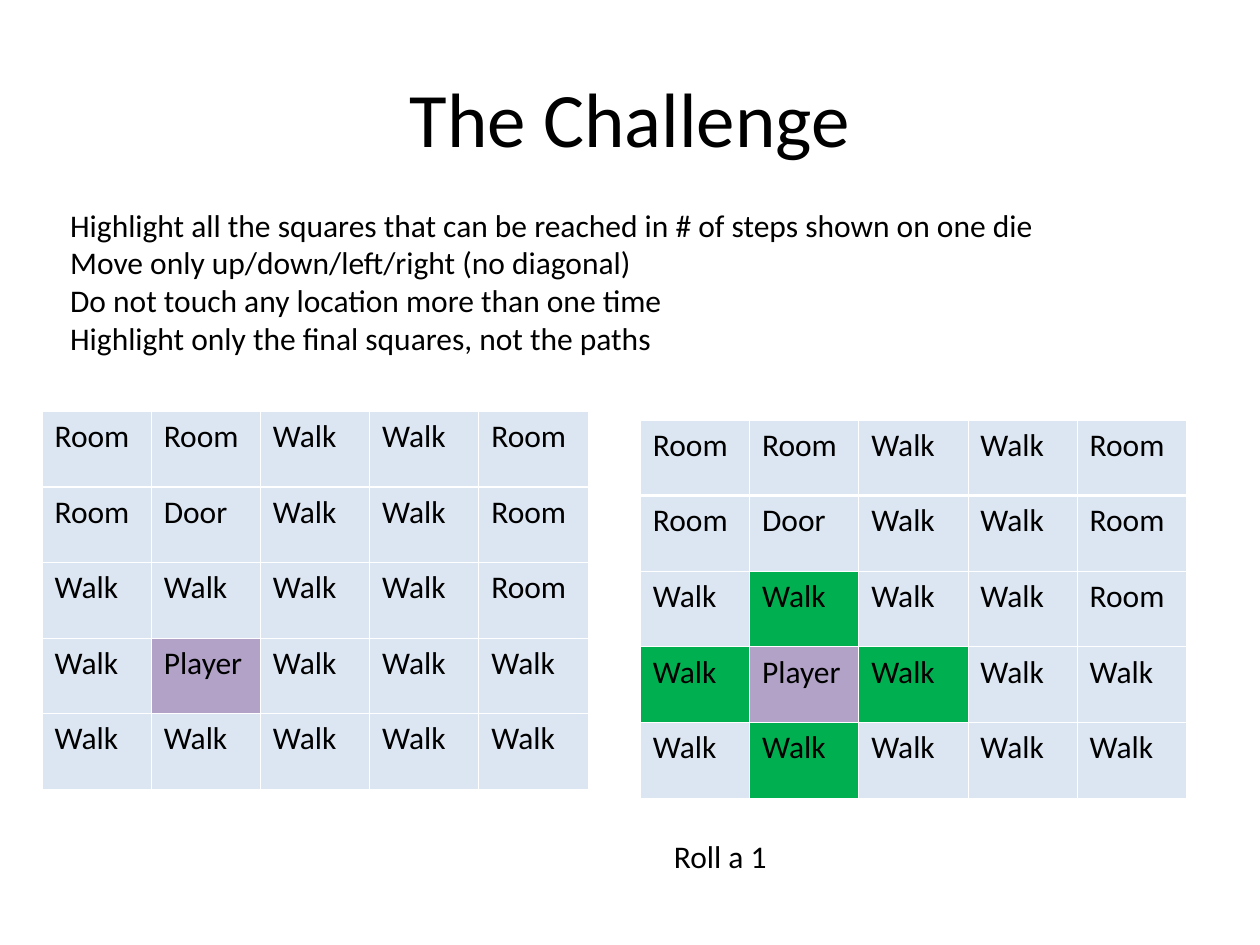
from lxml.etree import SubElement
from pptx import Presentation
from pptx.dml.color import RGBColor
from pptx.enum.text import MSO_ANCHOR, MSO_AUTO_SIZE, PP_ALIGN
from pptx.oxml.ns import qn
from pptx.util import Pt

FONT = "Calibri"
BODY_SIZE = 18
COLORS = {
    "text": "000000",
    "border": "FFFFFF",
    "square": "DCE6F2",
    "player": "B3A2C7",
    "reached": "00B050",
}
RULES = [
    "Highlight all the squares that can be reached in # of steps shown on one die",
    "Move only up/down/left/right (no diagonal)",
    "Do not touch any location more than one time",
    "Highlight only the final squares, not the paths",
]
BOARD = [
    "Room Room Walk Walk Room".split(),
    "Room Door Walk Walk Room".split(),
    "Walk Walk Walk Walk Room".split(),
    "Walk Player Walk Walk Walk".split(),
    "Walk Walk Walk Walk Walk".split(),
]
PLAYER = (3, 1)
SQUARE_WIDTH, SQUARE_HEIGHT = 62.4, 43.2
THIN, THICK = 0.45, 1.47


def color(name):
    return RGBColor.from_string(COLORS[name])


def format_text(text_frame, size=BODY_SIZE):
    for paragraph in text_frame.paragraphs:
        for run in paragraph.runs:
            run.font.name = FONT
            run.font.size = Pt(size)
            run.font.color.rgb = color("text")


def add_title(slide, text):
    title = slide.shapes.title
    title.left, title.top, title.width, title.height = Pt(36), Pt(21.6), Pt(648), Pt(90)
    title.text_frame.text = text
    title.text_frame.vertical_anchor = MSO_ANCHOR.MIDDLE
    title.text_frame.paragraphs[0].alignment = PP_ALIGN.CENTER
    format_text(title.text_frame, 44)


def add_text(slide, lines, left, top, width, height, wrap=True):
    text_frame = slide.shapes.add_textbox(Pt(left), Pt(top), Pt(width), Pt(height)).text_frame
    text_frame.word_wrap = wrap
    text_frame.auto_size = MSO_AUTO_SIZE.SHAPE_TO_FIT_TEXT
    text_frame.text = "\n".join(lines)
    format_text(text_frame)


def set_borders(cell, **widths):
    tc_pr = cell._tc.get_or_add_tcPr()
    for side in "LRTB":
        line = SubElement(tc_pr, qn(f"a:ln{side}"), w=str(int(Pt(widths.get(side, THIN)))))
        fill = SubElement(line, qn("a:solidFill"))
        SubElement(fill, qn("a:srgbClr"), val=COLORS["border"])


def square_color(row, column, roll):
    """One step from the player is reached by a roll of 1; None means no roll yet."""
    steps = abs(row - PLAYER[0]) + abs(column - PLAYER[1])
    if steps == 0:
        return "player"
    return "reached" if steps == roll else "square"


def add_board(slide, left, top, roll=None):
    rows, columns = len(BOARD), len(BOARD[0])
    board = slide.shapes.add_table(
        rows, columns, Pt(left), Pt(top),
        Pt(columns * SQUARE_WIDTH), Pt(rows * SQUARE_HEIGHT)).table
    # Plain squares: no header or banding
    board.first_row = board.horz_banding = False
    for column in board.columns:
        column.width = Pt(SQUARE_WIDTH)
    for row, names in enumerate(BOARD):
        board.rows[row].height = Pt(SQUARE_HEIGHT)
        for column, name in enumerate(names):
            square = board.cell(row, column)
            square.text_frame.text = name
            format_text(square.text_frame)
            # A thicker line runs below the first row
            set_borders(square, T=THICK if row == 1 else THIN, B=THICK if row == 0 else THIN)
            square.fill.solid()
            square.fill.fore_color.rgb = color(square_color(row, column, roll))


def main():
    prs = Presentation()
    prs.slide_width, prs.slide_height = Pt(720), Pt(540)
    slide = prs.slides.add_slide(prs.slide_layouts[5])

    # Title and rules
    add_title(slide, "The Challenge")
    add_text(slide, RULES, 33, 114, 566, 93.6, wrap=False)

    # Starting board
    add_board(slide, 24, 235)

    # The same board after a roll, with its caption
    add_board(slide, 365.9, 240, roll=1)
    add_text(slide, ["Roll a 1"], 378, 475, 126, 28.8)

    prs.save("out.pptx")


if __name__ == "__main__":
    main()
